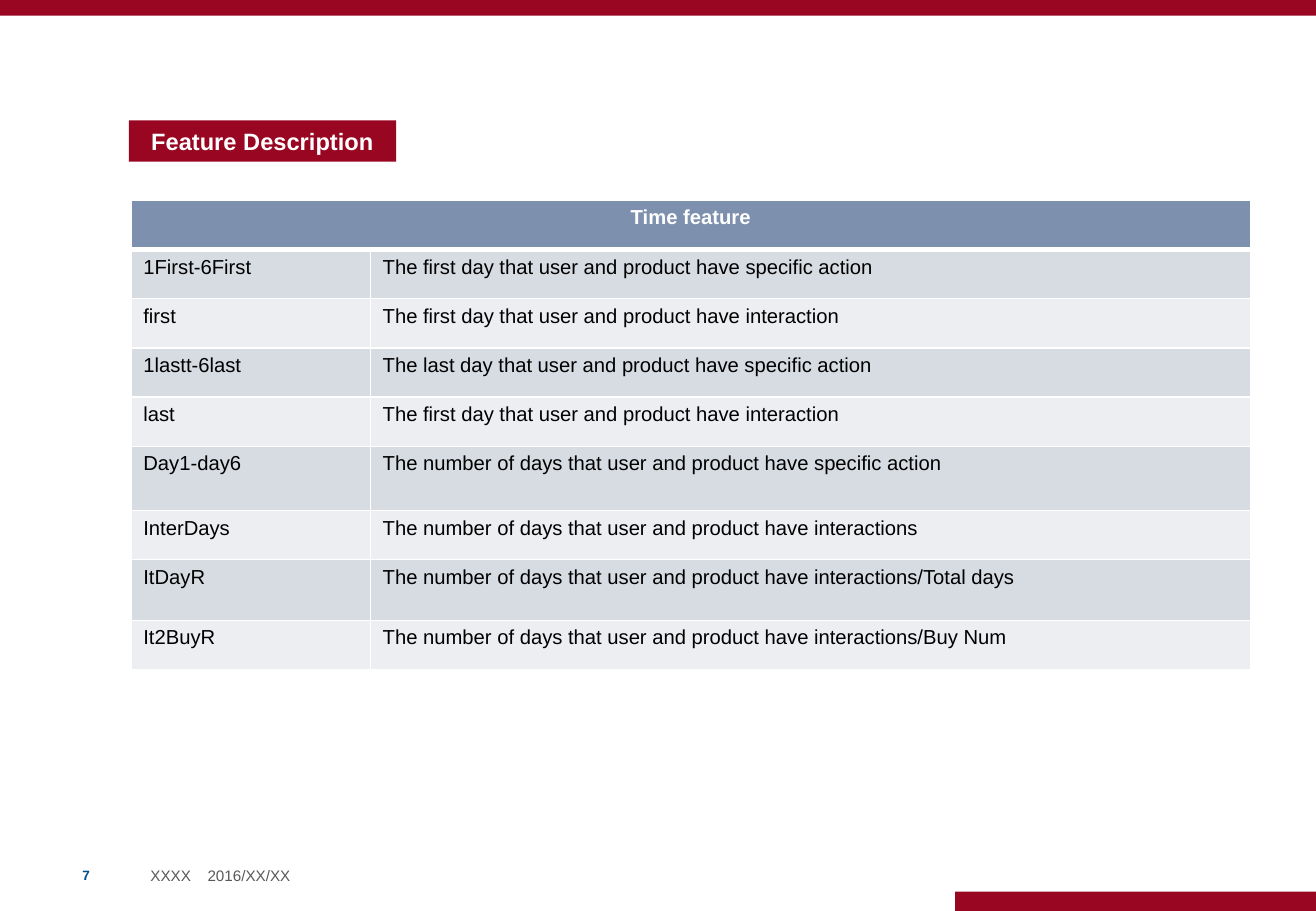
from lxml.etree import SubElement
from pptx import Presentation
from pptx.dml.color import RGBColor
from pptx.enum.shapes import MSO_SHAPE
from pptx.enum.text import MSO_ANCHOR as Anchor, MSO_AUTO_SIZE as AutoSize, PP_ALIGN as Align
from pptx.oxml.ns import qn
from pptx.util import Inches, Pt

COLORS = {
    "crimson": "980622",
    "header": "7D91AF",
    "band_dark": "D7DCE3",
    "band_light": "ECEEF2",
    "white": "FFFFFF",
    "black": "000000",
    "grey": "595959",
    "blue": "004E89",
}


def style_text(frame, size, color, bold=False, align=Align.LEFT):
    for para in frame.paragraphs:
        para.alignment = align
        for span in para.runs:
            span.font.name = "Arial"
            span.font.size = Pt(size)
            span.font.bold = bold
            span.font.color.rgb = RGBColor.from_string(COLORS[color])


def style_cell(cell, fill, bottom_width):
    properties = cell._tc.get_or_add_tcPr()
    for side, width in (("L", 1), ("R", 1), ("T", 1), ("B", bottom_width)):
        line = SubElement(properties, qn(f"a:ln{side}"), w=str(Pt(width)))
        solid = SubElement(line, qn("a:solidFill"))
        SubElement(solid, qn("a:srgbClr"), val=COLORS["white"])
    cell.fill.solid()
    cell.fill.fore_color.rgb = RGBColor.from_string(COLORS[fill])


deck = Presentation()
deck.slide_width = Inches(10.83)
deck.slide_height = Inches(7.5)
page = deck.slides.add_slide(deck.slide_layouts[5])

# Bars at the top and the bottom right
for left, top, width, height in ((0, 0, 10.83, 0.13), (7.86, 7.34, 2.97, 0.16)):
    bar = page.shapes.add_shape(
        MSO_SHAPE.RECTANGLE, Inches(left), Inches(top), Inches(width), Inches(height))
    bar.shadow.inherit = False
    bar.fill.solid()
    bar.fill.fore_color.rgb = RGBColor.from_string(COLORS["crimson"])
    bar.line.fill.background()

# Title
title = page.shapes.title
title.left, title.top = Inches(1.06), Inches(0.99)
title.width, title.height = Inches(2.2), Inches(0.34)
title.fill.solid()
title.fill.fore_color.rgb = RGBColor.from_string(COLORS["crimson"])
title.text_frame.text = "Feature Description"
title.text_frame.auto_size = AutoSize.NONE
title.text_frame.word_wrap = False
title.text_frame.vertical_anchor = Anchor.MIDDLE
style_text(title.text_frame, 14, "white", True, Align.CENTER)

# Feature table: name, description, row height
ROW = 0.81 / 2
features = [
    ("1First-6First", "The first day that user and product have specific action", ROW),
    ("first", "The first day that user and product have interaction", ROW),
    ("1lastt-6last", "The last day that user and product have specific action", ROW),
    ("last", "The first day that user and product have interaction", ROW),
    ("Day1-day6", "The number of days that user and product have specific action", 0.53),
    ("InterDays", "The number of days that user and product have interactions", ROW),
    ("ItDayR", "The number of days that user and product have interactions/Total days", 0.5),
    ("It2BuyR", "The number of days that user and product have interactions/Buy Num", ROW),
]
table = page.shapes.add_table(
    len(features) + 1, 2, Inches(1.08), Inches(1.65), Inches(9.21), Inches(3.86)).table
table.columns[0].width = Inches(1.97)
table.columns[1].width = Inches(7.24)

table.rows[0].height = Inches(ROW)
heading = table.cell(0, 0)
heading.merge(table.cell(0, 1))
heading.text_frame.text = "Time feature"
style_text(heading.text_frame, 12, "white", True, Align.CENTER)
for cell in table.rows[0].cells:
    style_cell(cell, "header", 3)

for index, (name, description, height) in enumerate(features, start=1):
    table.rows[index].height = Inches(height)
    band = "band_dark" if index % 2 else "band_light"
    for cell, text in zip(table.rows[index].cells, (name, description)):
        cell.text_frame.text = text
        style_text(cell.text_frame, 12, "black")
        style_cell(cell, band, 1)

# Page number, author and date
for left, width, text, size, color, bold in (
    (0.58, 0.5, "7", 8, "blue", True),
    (1.14, 0.6, "XXXX", 9, "grey", False),
    (1.61, 1.5, "2016/XX/XX", 9, "grey", False),
):
    box = page.shapes.add_textbox(Inches(left), Inches(7.08), Inches(width), Inches(0.25))
    box.text_frame.text = text
    box.text_frame.word_wrap = True
    box.text_frame.vertical_anchor = Anchor.MIDDLE
    style_text(box.text_frame, size, color, bold)

deck.save("out.pptx")
